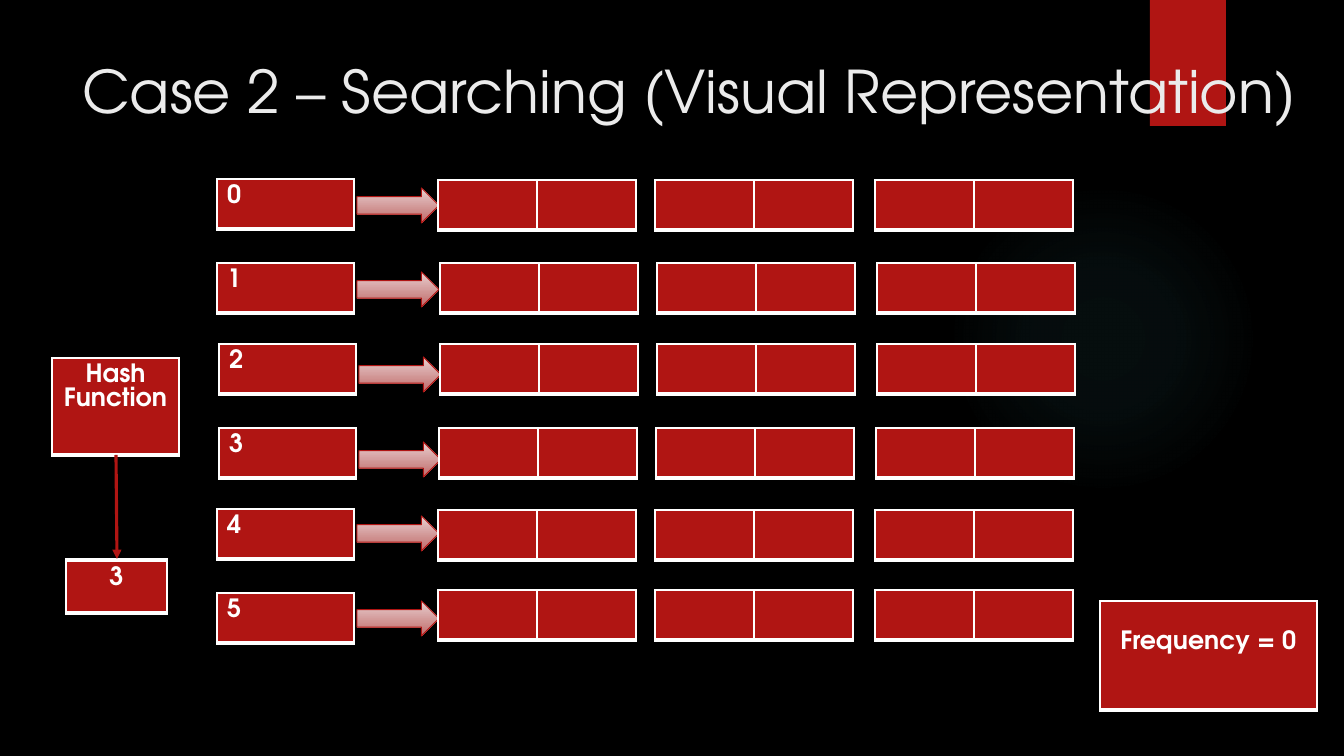
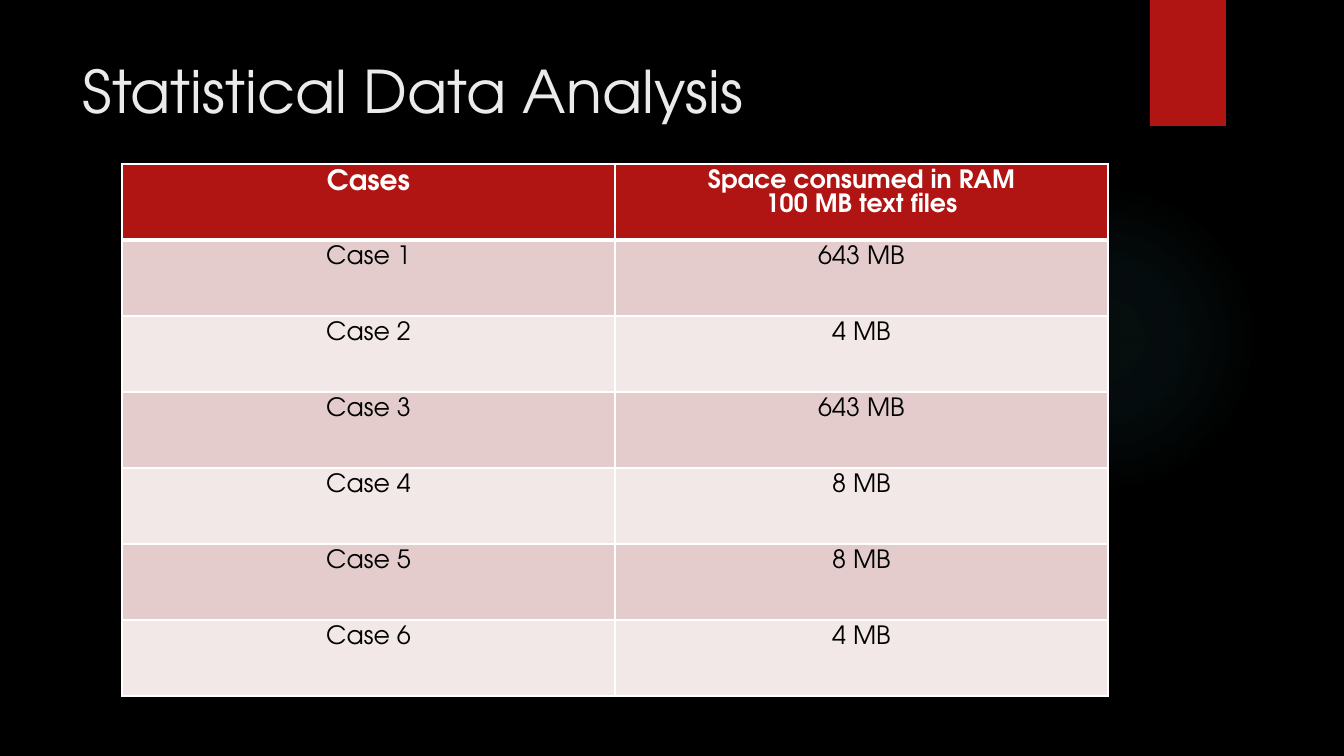
from dataclasses import dataclass

import pptx
import pptx.dml.color
import pptx.enum.shapes
import pptx.enum.text
import pptx.oxml
import pptx.oxml.ns
import pptx.util

SHAPE = pptx.enum.shapes.MSO_SHAPE
ALIGN = pptx.enum.text.PP_ALIGN
ANCHOR = pptx.enum.text.MSO_ANCHOR
NS = pptx.oxml.ns.nsdecls("a")


@dataclass(frozen=True)
class Theme:
    font: str = "TeX Gyre Adventor"
    back: str = "000000"
    red: str = "B01513"
    white: str = "FFFFFF"
    title: str = "EBEBEB"
    ink: str = "000000"
    glow: str = "50B9C1"
    light: str = "E8D1D0"
    dark: str = "C06969"
    bands: tuple = ("E4CCCC", "F2E8E7")
    big: int = 42
    head: int = 20
    body: int = 18
    tight: float = 0.95  # line pitch in table text, relative to its size


T = Theme()


# Basic helpers
def px(n):
    return pptx.util.Emu(round(n * 914400 / 100.8))


def rgb(code):
    return pptx.dml.color.RGBColor.from_string(code)


def write(frame, text, size=T.body, color=T.white, bold=False,
          align=ALIGN.LEFT, pitch=None):
    frame.text = text
    frame.word_wrap = True
    for para in frame.paragraphs:
        para.alignment = align
        if pitch:
            para.line_spacing = pptx.util.Pt(round(size * pitch, 1))
        for run in para.runs:
            font = run.font
            font.name, font.size, font.bold = T.font, pptx.util.Pt(size), bold
            font.color.rgb = rgb(color)


def shape(slide, kind, box):
    item = slide.shapes.add_shape(kind, *map(px, box))
    item.shadow.inherit = False
    item.line.fill.background()
    return item


def paint(cell, fill, base=1):
    """Fill a cell and rule it in white; base is the bottom line's width."""
    props = cell._tc.get_or_add_tcPr()
    for side, width in (("L", 1), ("R", 1), ("T", 1), ("B", base)):
        props.append(pptx.oxml.parse_xml(
            f'<a:ln{side} {NS} w="{width * 12700}"><a:solidFill>'
            f'<a:srgbClr val="{T.white}"/></a:solidFill></a:ln{side}>'))
    cell.fill.solid()
    cell.fill.fore_color.rgb = rgb(fill)


def grid(slide, box, rows, cols):
    table = slide.shapes.add_table(rows, cols, *map(px, box)).table
    table.first_row = table.horz_banding = False
    return table


def block(slide, box, text="", cols=1, align=ALIGN.CENTER, drop=0):
    """One row of red cells; drop lowers the text of the first."""
    table = grid(slide, box, 1, cols)
    for cell in table.iter_cells():
        paint(cell, T.red, 3)
    if text:
        cell = table.cell(0, 0)
        cell.margin_top = px(5 + drop)
        write(cell.text_frame, text, bold=True, align=align, pitch=T.tight)


# Shared backdrop and title
def backdrop(deck, layout, slide):
    """Set the background and move glow and ribbon into the layout."""
    fill = deck.slide_master.background.fill
    fill.solid()
    fill.fore_color.rgb = rgb(T.back)

    glow = shape(slide, SHAPE.OVAL, (948, 184, 310, 310))
    stops = "".join(
        f'<a:gs pos="{pos}000"><a:srgbClr val="{T.glow}">'
        f'<a:alpha val="{alpha}000"/></a:srgbClr></a:gs>'
        for pos, alpha in ((0, 7), (36, 6), (69, 0)))
    props = glow.element.spPr
    props.find(pptx.oxml.ns.qn("a:prstGeom")).addnext(pptx.oxml.parse_xml(
        f'<a:gradFill {NS}><a:gsLst>{stops}</a:gsLst><a:path path="circle">'
        '<a:fillToRect l="50000" t="50000" r="50000" b="50000"/>'
        '</a:path></a:gradFill>'))

    ribbon = shape(slide, SHAPE.RECTANGLE, (1150, 0, 76, 126))
    ribbon.fill.solid()
    ribbon.fill.fore_color.rgb = rgb(T.red)
    for item in (glow, ribbon):
        layout.shapes.element.append(item.element)


def heading(slide, text, box):
    title = slide.shapes.title
    title.left, title.top, title.width, title.height = map(px, box)
    frame = title.text_frame
    frame.vertical_anchor = ANCHOR.TOP
    frame.auto_size = pptx.enum.text.MSO_AUTO_SIZE.NONE
    write(frame, text, size=T.big, color=T.title)


# Hash table slide
def arrow(slide, box):
    item = shape(slide, SHAPE.RIGHT_ARROW, box)
    item.fill.gradient()
    item.fill.gradient_angle = 270
    for stop, (pos, color) in zip(item.fill.gradient_stops,
                                  ((0, T.light), (1, T.dark))):
        stop.position = pos
        stop.color.rgb = rgb(color)
    item.line.color.rgb = rgb(T.red)
    item.line.width = pptx.util.Pt(0.75)


def chain(slide, label, left, top, shaft, node, level):
    """A bucket, its arrow and the three nodes that follow."""
    block(slide, (left, top, 137, 50), label, align=ALIGN.LEFT)
    arrow(slide, (left + 140, shaft, 82, 35))
    for step in (0, 217, 437):
        block(slide, (node + step, level, 198, 50), cols=2)


def hasher(slide, left, top):
    """The hash function, pointing down to its result."""
    block(slide, (left, top, 127, 97), "Hash Function")
    block(slide, (left + 14, top + 201, 101, 52))
    link = slide.shapes.add_connector(
        pptx.enum.shapes.MSO_CONNECTOR.STRAIGHT,
        px(left + 64), px(top + 97), px(left + 65), px(top + 201))
    link.line.color.rgb = rgb(T.red)
    link.line.width = pptx.util.Pt(2.25)
    link.line._get_or_add_ln().append(
        pptx.oxml.parse_xml(f'<a:tailEnd {NS} type="triangle"/>'))
    link.element.spPr.append(pptx.oxml.parse_xml(f'<a:effectLst {NS}/>'))
    block(slide, (left + 14, top + 203, 101, 52), "3")


def search(slide):
    heading(slide, "Case 2 – Searching (Visual Representation)",
            (72, 50, 1245, 154))
    # bucket left and top, arrow top, first node left and top
    rows = ((217, 179, 188, 438, 180), (217, 263, 272, 440, 263),
            (219, 344, 357, 440, 344), (219, 428, 442, 439, 428),
            (217, 509, 516, 438, 510), (217, 593, 601, 438, 590))
    for index, row in enumerate(rows):
        chain(slide, str(index), *row)
    hasher(slide, 52, 358)
    block(slide, (1100, 601, 217, 109), "Frequency = 0", drop=24)


# Statistics slide
def stats(slide):
    heading(slide, "Statistical Data Analysis", (72, 50, 1037, 154))
    sizes = ("643 MB", "4 MB", "643 MB", "8 MB", "8 MB", "4 MB")
    rows = [("Cases", "Space consumed in RAM\n100 MB text files")]
    rows += [(f"Case {n}", size) for n, size in enumerate(sizes, 1)]
    table = grid(slide, (122, 164, 986, 76 * len(rows)), len(rows), 2)
    for r, row in enumerate(rows):
        for c, text in enumerate(row):
            cell, head = table.cell(r, c), r == 0
            paint(cell, T.red if head else T.bands[(r - 1) % 2],
                  3 if head else 1)
            write(cell.text_frame, text, bold=head, align=ALIGN.CENTER,
                  size=T.head if head and c == 0 else T.body,
                  color=T.white if head else T.ink, pitch=T.tight)


def main():
    deck = pptx.Presentation()
    deck.slide_width, deck.slide_height = px(1344), px(756)
    layout = deck.slide_layouts[5]
    first, second = (deck.slides.add_slide(layout) for _ in range(2))
    backdrop(deck, layout, first)
    search(first)
    stats(second)
    deck.save("out.pptx")


if __name__ == "__main__":
    main()
